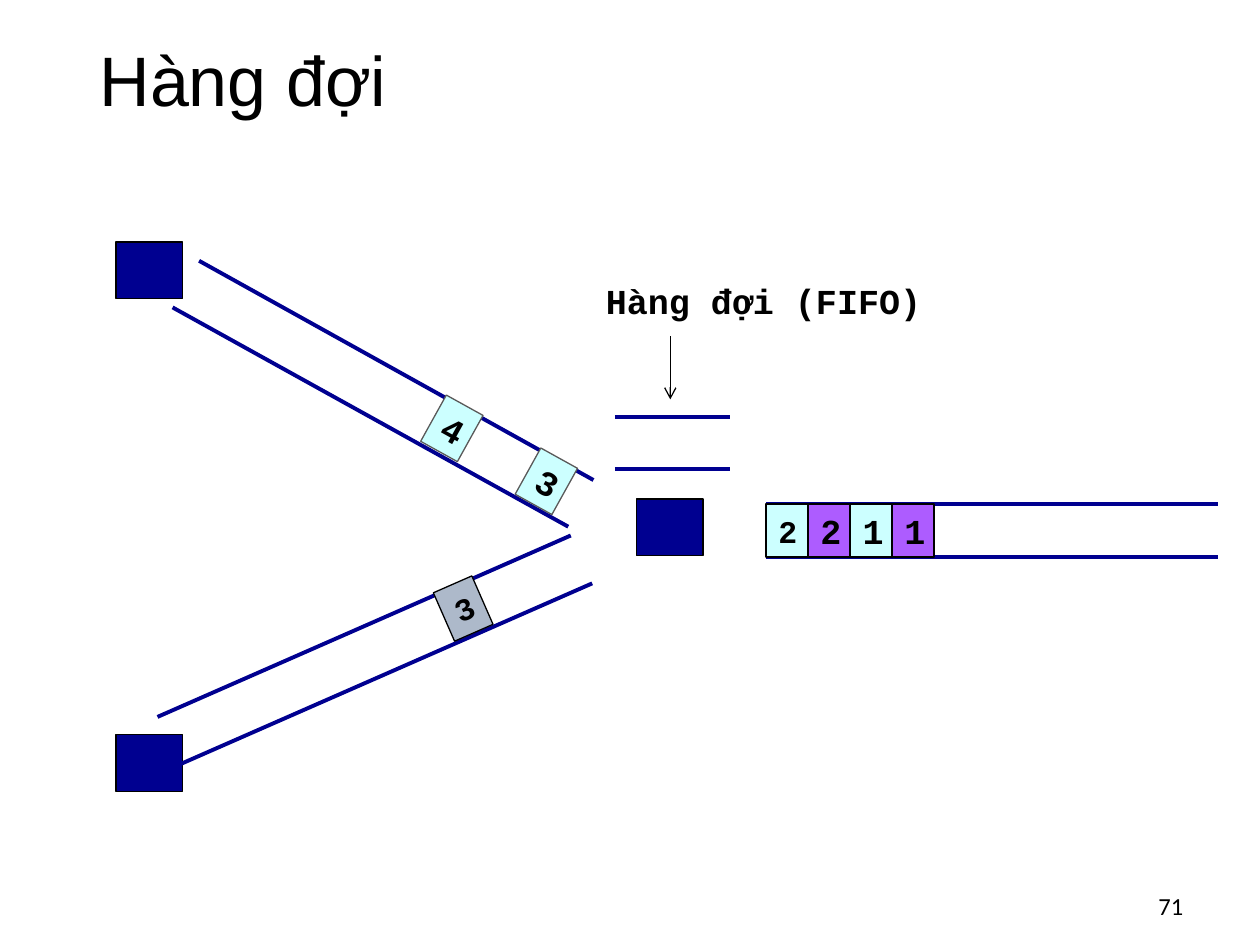
"""Build the slide on queues: two input links, a FIFO queue and one output link."""
from dataclasses import dataclass

from lxml import etree
from pptx import Presentation
from pptx import util as u
from pptx.dml.color import RGBColor
from pptx.enum import shapes, text
from pptx.oxml.ns import qn


@dataclass(frozen=True)
class Theme:
    """Colours, fonts and type sizes."""
    navy: str = "000090"
    black: str = "000000"
    gray: str = "595959"
    cyan: str = "CCFFFF"
    purple: str = "AD5CFF"
    slate: str = "ADB9CA"
    heading: str = "Arial"
    number: str = "Calibri"
    code: str = "Courier New"
    title_size: int = 40
    label_size: int = 20
    small_size: int = 18
    number_size: int = 14
    rail: float = 2.25
    thin: float = 0.75


THEME = Theme()
WIDTH, HEIGHT = 10, 7.5
NODE = (0.53, 0.45)
PACKET = (1 / 3, 0.42)
OUTPUT_LEFT, OUTPUT_TOP = 6.08, 4

TITLE = "Hàng đợi"
LABEL = "Hàng đợi (FIFO)"
PAGE_NUMBER = "71"
NODES = [(0.92, 1.92), (0.92, 5.83), (5.05, 3.96)]
RAILS = [
    ((1.58, 2.07), (4.71, 3.81)),
    ((1.37, 2.44), (4.51, 4.18)),
    ((1.25, 5.69), (4.53, 4.25)),
    ((1.42, 6.07), (4.7, 4.63)),
]
LEVEL_RAILS = [
    (OUTPUT_LEFT, 9.67, (OUTPUT_TOP, OUTPUT_TOP + PACKET[1])),
    (4.88, 5.79, (3.31, 3.72)),
]
ARROW = ((5.32, 2.67), (5.32, 3.17))
INPUT_PACKETS = [
    ("3", 4.17, 3.61, 29, THEME.cyan, THEME.gray, THEME.label_size),
    ("4", 3.42, 3.19, 29, THEME.cyan, THEME.gray, THEME.label_size),
    ("3", 3.51, 4.62, 336.3, THEME.slate, THEME.black, THEME.small_size),
]
OUTPUT_PACKETS = [
    ("2", THEME.cyan, THEME.small_size),
    ("2", THEME.purple, THEME.label_size),
    ("1", THEME.cyan, THEME.label_size),
    ("1", THEME.purple, THEME.label_size),
]


def write(shape, words, font=THEME.code, size=THEME.label_size, bold=True,
          align=text.PP_ALIGN.LEFT, anchor=text.MSO_ANCHOR.MIDDLE,
          wrap=False, spacing=None):
    """Put one formatted paragraph into a shape."""
    frame = shape.text_frame
    frame.word_wrap = wrap
    frame.auto_size = text.MSO_AUTO_SIZE.NONE
    frame.vertical_anchor = anchor
    para = frame.paragraphs[0]
    para.alignment = align
    para.line_spacing = spacing
    span = para.add_run()
    span.text = words
    span.font.name = font
    span.font.size = u.Pt(size)
    span.font.bold = bold
    span.font.color.rgb = RGBColor.from_string(THEME.black)


def add_box(page, left, top, size, fill, line=THEME.black, turn=0):
    """Add a filled, outlined rectangle."""
    box = page.shapes.add_shape(
        shapes.MSO_SHAPE.RECTANGLE, *map(u.Inches, (left, top, *size)))
    box.shadow.inherit = False
    box.fill.solid()
    box.fill.fore_color.rgb = RGBColor.from_string(fill)
    box.line.color.rgb = RGBColor.from_string(line)
    box.line.width = u.Pt(THEME.thin)
    box.rotation = turn
    return box


def add_line(page, start, end, color=THEME.navy, width=THEME.rail, arrow=False):
    """Add a straight line, with an open arrowhead if asked."""
    line = page.shapes.add_connector(
        shapes.MSO_CONNECTOR.STRAIGHT, *map(u.Inches, (*start, *end)))
    line.line.color.rgb = RGBColor.from_string(color)
    line.line.width = u.Pt(width)
    properties = line._element.spPr
    if arrow:
        etree.SubElement(properties.find(qn("a:ln")), qn("a:tailEnd"), type="arrow")
    etree.SubElement(properties, qn("a:effectLst"))


def add_text(page, left, top, width, height, words, **style):
    """Add a text box."""
    box = page.shapes.add_textbox(*map(u.Inches, (left, top, width, height)))
    write(box, words, **style)


def main():
    """Compose and save the slide."""
    deck = Presentation()
    deck.slide_width, deck.slide_height = u.Inches(WIDTH), u.Inches(HEIGHT)
    page = deck.slides.add_slide(deck.slide_layouts.get_by_name("Title Only"))

    title = page.shapes.title
    title.left, title.top, title.width, title.height = map(
        u.Inches, (0.69, 0.26, 8.62, 0.81))
    write(title, TITLE, font=THEME.heading, size=THEME.title_size,
          bold=False, wrap=True, spacing=0.9)
    add_text(page, 8.86, 6.99, 0.63, 0.4, PAGE_NUMBER, font=THEME.number,
             size=THEME.number_size, bold=False, wrap=True,
             align=text.PP_ALIGN.RIGHT)

    for left, top in NODES:
        add_box(page, left, top, NODE, THEME.navy)
    for start, end in RAILS:
        add_line(page, start, end)
    for left, right, levels in LEVEL_RAILS:
        for level in levels:
            add_line(page, (left, level), (right, level))

    for words, left, top, turn, fill, line, size in INPUT_PACKETS:
        write(add_box(page, left, top, PACKET, fill, line, turn), words, size=size)
    for column, (words, fill, size) in enumerate(OUTPUT_PACKETS):
        left = OUTPUT_LEFT + column * PACKET[0]
        write(add_box(page, left, OUTPUT_TOP, PACKET, fill), words, size=size)

    add_text(page, 4.71, 2.17, 2.73, 0.44, LABEL, anchor=text.MSO_ANCHOR.TOP)
    add_line(page, *ARROW, color=THEME.black, width=THEME.thin, arrow=True)
    deck.save("out.pptx")


if __name__ == "__main__":
    main()
